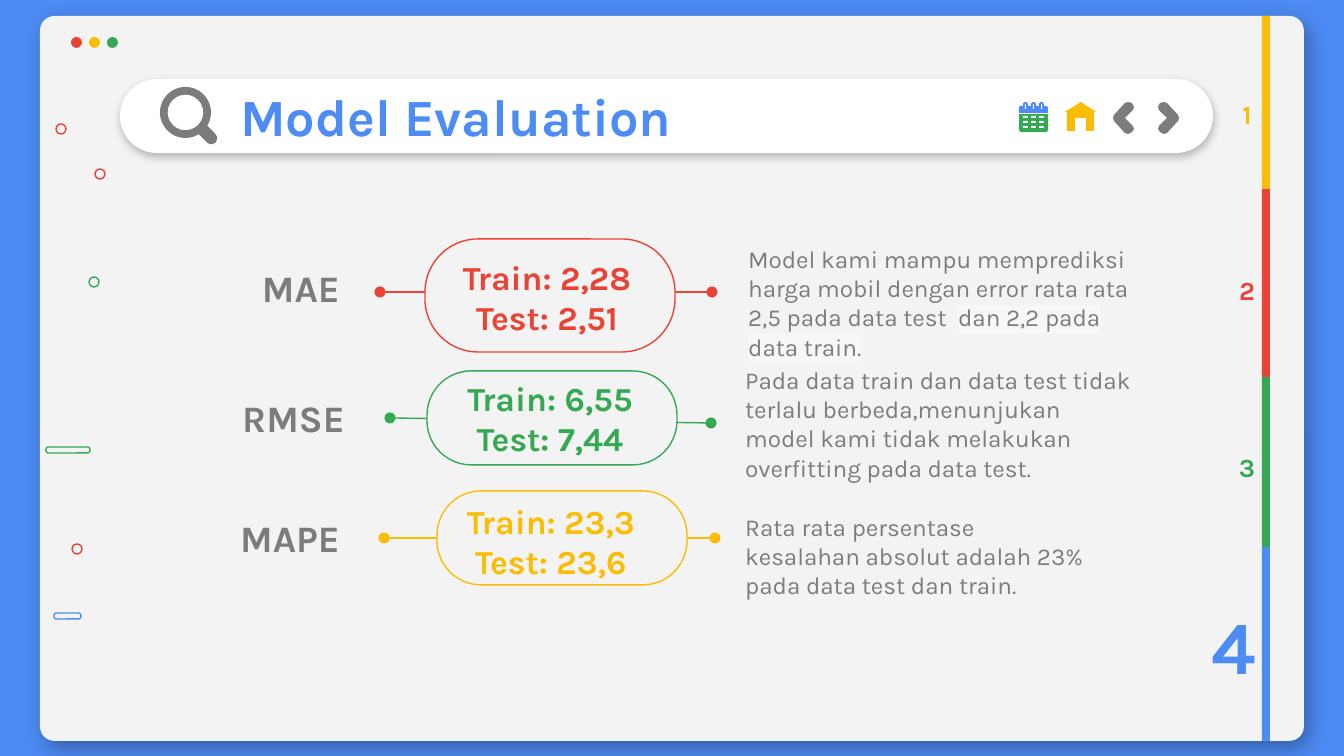
from typing import NamedTuple

from lxml import etree
from pptx import Presentation
from pptx import util as u
from pptx.dml.color import RGBColor
from pptx.enum import shapes, text
from pptx.oxml.ns import qn

PX = 914400 / 134.4
FONT = "Karla"
BLUE = RGBColor(0x4D, 0x8C, 0xF5)
RED = RGBColor(0xEA, 0x43, 0x35)
YELLOW = RGBColor(0xFB, 0xBC, 0x05)
GREEN = RGBColor(0x34, 0xA8, 0x53)
GRAY = RGBColor(0x7C, 0x7C, 0x7C)
PANEL = RGBColor(0xF3, 0xF3, 0xF3)
HIGHLIGHT = RGBColor(0xF7, 0xF7, 0xF7)
WHITE = RGBColor(0xFF, 0xFF, 0xFF)
BLACK = RGBColor(0, 0, 0)

KIND = shapes.MSO_SHAPE
LEFT, CENTER, RIGHT = (text.PP_ALIGN.LEFT, text.PP_ALIGN.CENTER, text.PP_ALIGN.RIGHT)
TOP, MIDDLE = text.MSO_ANCHOR.TOP, text.MSO_ANCHOR.MIDDLE


class Box(NamedTuple):
    x: int
    y: int
    w: int
    h: int


class Run(NamedTuple):
    words: str
    highlight: RGBColor | None = None


class Metric(NamedTuple):
    name: str
    color: RGBColor
    scores: tuple[str, str]
    note: tuple[Run, ...]
    name_box: Box
    pill: Box
    score_box: Box
    note_box: Box
    link: tuple[int, int, int, int]


class Section(NamedTuple):
    number: str
    color: RGBColor
    top: int
    bottom: int
    label: Box
    size: int = 14


METRICS = (
    Metric("MAE", RED, ("Train: 2,28", "Test: 2,51"),
           (Run("Model kami mampu memprediksi harga mobil dengan error rata rata "
                "2,5 pada data test  "),
            Run("dan 2,2 pada data train.", HIGHLIGHT)),
           Box(190, 249, 163, 78), Box(425, 239, 250, 113),
           Box(446, 242, 202, 110), Box(735, 231, 418, 129), (380, 292, 712, 292)),
    Metric("RMSE", GREEN, ("Train: 6,55", "Test: 7,44"),
           (Run("Pada data train dan data test tidak terlalu berbeda,menunjukan "
                "model kami tidak melakukan overfitting pada data test."),),
           Box(195, 379, 163, 78), Box(427, 371, 250, 94),
           Box(449, 363, 202, 110), Box(732, 352, 414, 113), (390, 418, 711, 423)),
    Metric("MAPE", YELLOW, ("Train: 23,3", "Test: 23,6"),
           (Run("Rata rata persentase kesalahan absolut adalah 23% "
                "pada data test dan train."),),
           Box(190, 499, 163, 78), Box(437, 491, 250, 94),
           Box(450, 486, 202, 110), Box(732, 499, 371, 113), (384, 538, 715, 538)),
)
SECTIONS = (
    Section("1", YELLOW, 16, 189, Box(1215, 97, 64, 35)),
    Section("2", RED, 189, 377, Box(1215, 273, 64, 35)),
    Section("3", GREEN, 377, 547, Box(1215, 450, 64, 35)),
    Section("4", BLUE, 547, 741, Box(1198, 586, 64, 118), 40),
)
RINGS = ((56, 124, RED), (95, 169, RED), (89, 277, GREEN), (72, 544, RED))
TABS = ((Box(54, 613, 27, 6), BLUE), (Box(46, 447, 44, 6), GREEN))
HOUSE = ((1081, 102), (1096, 112), (1094, 112), (1094, 131), (1086, 131), (1086, 118),
         (1075, 118), (1075, 131), (1067, 131), (1067, 112), (1065, 112))
NEXT = ((1164, 102), (1167, 103), (1178, 115), (1179, 118), (1178, 121), (1167, 133),
        (1164, 134), (1160, 132), (1158, 129), (1159, 126), (1167, 118), (1159, 110),
        (1158, 107), (1160, 103))
PREVIOUS = tuple((2292 - x, y) for x, y in NEXT)


def px(n: int) -> u.Emu:
    return u.Emu(round(n * PX))


def paint(sp, fill: RGBColor | None, line: RGBColor | None = None) -> None:
    sp.shadow.inherit = False
    if fill is None:
        sp.fill.background()
    else:
        sp.fill.solid()
        sp.fill.fore_color.rgb = fill
    if line is None:
        sp.line.fill.background()
    else:
        sp.line.color.rgb = line
        sp.line.width = u.Pt(0.75)


def add_shape(s, kind, box: Box, fill: RGBColor | None, line: RGBColor | None = None,
              adj: float | None = None):
    sp = s.shapes.add_shape(kind, *map(px, box))
    if adj is not None:
        sp.adjustments[0] = adj
    paint(sp, fill, line)
    return sp


def add_outline(s, points: tuple, fill: RGBColor) -> None:
    builder = s.shapes.build_freeform(*points[0], scale=PX)
    builder.add_line_segments(points[1:])
    paint(builder.convert_to_shape(), fill)


def add_shadow(sp, color: RGBColor, alpha: int, blur: float, dist: float, angle: int) -> None:
    effects = sp._element.spPr.find(qn("a:effectLst"))
    shadow = etree.SubElement(effects, qn("a:outerShdw"), blurRad=str(u.Pt(blur)),
                              dist=str(u.Pt(dist)), dir=str(angle * 60000),
                              algn="bl", rotWithShape="0")
    clr = etree.SubElement(shadow, qn("a:srgbClr"), val=str(color))
    etree.SubElement(clr, qn("a:alpha"), val=str(alpha * 1000))


def add_text(s, box: Box, paragraphs: tuple[tuple[Run, ...], ...], size: int,
             color: RGBColor, bold: bool = True, align=LEFT, anchor=MIDDLE) -> None:
    tf = s.shapes.add_textbox(*map(px, box)).text_frame
    tf.word_wrap = True
    tf.vertical_anchor = anchor
    tf.margin_left = tf.margin_right = tf.margin_top = tf.margin_bottom = u.Inches(0.1)
    for i, runs in enumerate(paragraphs):
        p = tf.add_paragraph() if i else tf.paragraphs[0]
        p.alignment = align
        for run in runs:
            r = p.add_run()
            r.text = run.words
            r.font.size, r.font.name, r.font.bold = u.Pt(size), FONT, bold
            r.font.color.rgb = color
            if run.highlight is not None:
                mark = etree.Element(qn("a:highlight"))
                etree.SubElement(mark, qn("a:srgbClr"), val=str(run.highlight))
                r.font._element.find(qn("a:solidFill")).addnext(mark)


def add_link(s, ends: tuple[int, int, int, int], color: RGBColor) -> None:
    """Draw a line with a round dot at each end."""
    line = s.shapes.add_connector(shapes.MSO_CONNECTOR.STRAIGHT, *map(px, ends))
    line.line.color.rgb = color
    line.line.width = u.Pt(0.75)
    for end in ("a:headEnd", "a:tailEnd"):
        etree.SubElement(line.line._get_or_add_ln(), qn(end), type="oval")
    etree.SubElement(line._element.spPr, qn("a:effectLst"))


def add_window(s) -> None:
    panel = add_shape(s, KIND.ROUNDED_RECTANGLE, Box(40, 16, 1264, 725), PANEL, adj=0.02)
    add_shadow(panel, BLACK, 32, 12.4, 5.2, 57)
    bar = add_shape(s, KIND.ROUNDED_RECTANGLE, Box(120, 79, 1093, 74), WHITE, adj=0.5)
    add_shadow(bar, GRAY, 50, 4.5, 1.5, 90)
    for i, color in enumerate((RED, YELLOW, GREEN)):
        add_shape(s, KIND.OVAL, Box(71 + 18 * i, 37, 11, 11), color)
    for x, y, color in RINGS:
        add_shape(s, KIND.OVAL, Box(x, y, 10, 10), None, color)
    for box, color in TABS:
        add_shape(s, KIND.ROUNDED_RECTANGLE, box, None, color, 0.4)


def add_search_icon(s) -> None:
    add_shape(s, KIND.DONUT, Box(160, 87, 51, 51), GRAY, adj=0.15)
    handle = add_shape(s, KIND.ROUNDED_RECTANGLE, Box(195, 128, 24, 12), GRAY, adj=0.5)
    handle.rotation = 45


def add_calendar(s) -> None:
    add_shape(s, KIND.ROUND_2_SAME_RECTANGLE, Box(1019, 106, 29, 7), BLUE, adj=0.3)
    body = add_shape(s, KIND.ROUND_2_SAME_RECTANGLE, Box(1019, 114, 29, 18), GREEN, adj=0.15)
    body.rotation = 180
    for x in (1023, 1031, 1039):
        add_shape(s, KIND.ROUNDED_RECTANGLE, Box(x, 102, 5, 9), BLUE, adj=0.5)
        add_shape(s, KIND.ROUNDED_RECTANGLE, Box(x + 2, 104, 1, 5), WHITE, adj=0.5)
        for y in (116, 121, 126):
            add_shape(s, KIND.ROUNDED_RECTANGLE, Box(x, y, 5, 2), WHITE, adj=0.5)


def add_metric(s, m: Metric) -> None:
    add_link(s, m.link, m.color)
    add_shape(s, KIND.ROUNDED_RECTANGLE, m.pill, PANEL, m.color, 0.47)
    add_text(s, m.name_box, ((Run(m.name),),), 20, GRAY, align=RIGHT)
    add_text(s, m.score_box, tuple((Run(score),) for score in m.scores), 18, m.color,
             align=CENTER)
    add_text(s, m.note_box, (m.note,), 13, GRAY, bold=False, anchor=TOP)


def add_section(s, section: Section) -> None:
    height = section.bottom - section.top
    add_shape(s, KIND.RECTANGLE, Box(1262, section.top, 8, height), section.color)
    add_text(s, section.label, ((Run(section.number),),), section.size, section.color,
             align=CENTER)


def main() -> None:
    prs = Presentation()
    prs.slide_width, prs.slide_height = px(1344), px(756)
    s = prs.slides.add_slide(prs.slide_layouts[6])
    s.background.fill.solid()
    s.background.fill.fore_color.rgb = BLUE
    add_window(s)
    add_search_icon(s)
    add_text(s, Box(227, 81, 953, 70), ((Run("Model Evaluation"),),), 28, BLUE)
    add_calendar(s)
    for points, color in ((HOUSE, YELLOW), (PREVIOUS, GRAY), (NEXT, GRAY)):
        add_outline(s, points, color)
    for metric in METRICS:
        add_metric(s, metric)
    for section in SECTIONS:
        add_section(s, section)
    prs.save("out.pptx")


if __name__ == "__main__":
    main()
